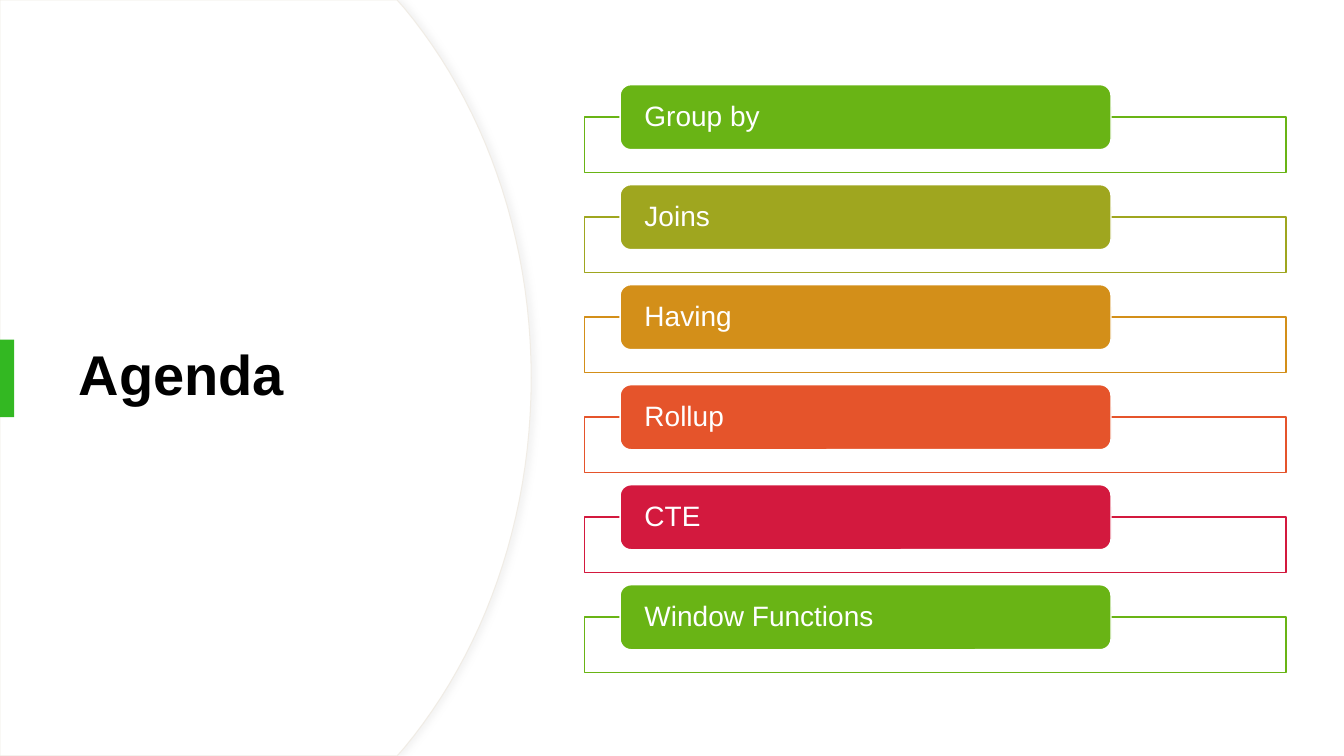
import pptx
import pptx.util
import pptx.dml.color
import pptx.enum.shapes
import pptx.enum.text
import pptx.oxml
import pptx.oxml.ns

RGBColor = pptx.dml.color.RGBColor
MSO_SHAPE = pptx.enum.shapes.MSO_SHAPE
Pt = pptx.util.Pt

WHITE = RGBColor(0xFF, 0xFF, 0xFF)
BLACK = RGBColor(0x00, 0x00, 0x00)
EDGE = RGBColor(0xF0, 0xEC, 0xE5)
ACCENT = RGBColor(0x33, 0xB8, 0x22)
GREEN = RGBColor(0x69, 0xB4, 0x15)
OLIVE = RGBColor(0x9F, 0xA6, 0x1F)
AMBER = RGBColor(0xD3, 0x8F, 0x19)
ORANGE = RGBColor(0xE5, 0x54, 0x2B)
RED = RGBColor(0xD3, 0x19, 0x3E)

AGENDA = [
    ("Group by", GREEN),
    ("Joins", OLIVE),
    ("Having", AMBER),
    ("Rollup", ORANGE),
    ("CTE", RED),
    ("Window Functions", GREEN),
]
FIRST_ROW, ROW_STEP = 11.2, 13.23
ARC = [(30.08, 1.07), (35.93, 13.6), (39.53, 30.93), (39.53, 50)]
ARC_STEPS = 24

SHADOW = (
    '<a:effectLst xmlns:a="http://schemas.openxmlformats.org/drawingml/2006/main">'
    '<a:outerShdw blurRad="50800" dist="38100" dir="0" algn="l" rotWithShape="0">'
    '<a:srgbClr val="D9D9D9"><a:alpha val="30000"/></a:srgbClr>'
    '</a:outerShdw></a:effectLst>'
)


def bezier(points, t):
    weights = ((1 - t) ** 3, 3 * t * (1 - t) ** 2, 3 * t ** 2 * (1 - t), t ** 3)
    return tuple(sum(w * p[axis] for w, p in zip(weights, points)) for axis in (0, 1))


class Deck:
    font = "Arial"

    def __init__(self, prs):
        self.prs = prs
        self.slide = prs.slides.add_slide(prs.slide_layouts[5])

    def x(self, share):
        return round(self.prs.slide_width * share / 100)

    def y(self, share):
        return round(self.prs.slide_height * share / 100)

    def box(self, left, top, width, height):
        return self.x(left), self.y(top), self.x(width), self.y(height)

    def paint(self, sp, fill, line=None, weight=1):
        sp.shadow.inherit = False
        sp.fill.solid()
        sp.fill.fore_color.rgb = fill
        if line is None:
            sp.line.fill.background()
        else:
            sp.line.color.rgb = line
            sp.line.width = Pt(weight)

    def label(self, sp, text, size, color, bold=False):
        tf = sp.text_frame
        tf.text = text
        tf.word_wrap = True
        tf.auto_size = pptx.enum.text.MSO_AUTO_SIZE.NONE
        tf.vertical_anchor = pptx.enum.text.MSO_ANCHOR.MIDDLE
        p = tf.paragraphs[0]
        p.alignment = pptx.enum.text.PP_ALIGN.LEFT
        p.line_spacing = 0.9
        r = p.runs[0]
        r.font.name = self.font
        r.font.size = Pt(size)
        r.font.bold = bold
        r.font.color.rgb = color
        return tf

    def title(self, text, *box):
        sp = self.slide.shapes.title
        sp.left, sp.top, sp.width, sp.height = self.box(*box)
        self.label(sp, text, 40, BLACK, bold=True)

    def shape(self, kind, box, fill, line=None):
        sp = self.slide.shapes.add_shape(kind, *self.box(*box))
        self.paint(sp, fill, line)
        return sp

    def curved_panel(self):
        upper = [bezier(ARC, i / ARC_STEPS) for i in range(ARC_STEPS + 1)]
        upper.insert(0, (29.55, 0))
        lower = [(x, 100 - y) for x, y in reversed(upper[:-1])]
        outline = [(self.x(x), self.y(y)) for x, y in upper + lower + [(0, 100)]]
        builder = self.slide.shapes.build_freeform(0, 0)
        builder.add_line_segments(outline, close=True)
        sp = builder.convert_to_shape()
        self.paint(sp, WHITE, EDGE, 0.75)
        props = sp._element.spPr
        props.replace(props.find(pptx.oxml.ns.qn("a:effectLst")), pptx.oxml.parse_xml(SHADOW))
        tree = self.slide.shapes._spTree
        tree.remove(sp._element)
        tree.insert(2, sp._element)

    def agenda_item(self, top, text, color):
        self.shape(MSO_SHAPE.RECTANGLE, (43.5, top + 4.27, 52.2, 7.35), WHITE, color)
        sp = self.shape(MSO_SHAPE.ROUNDED_RECTANGLE, (46.14, top, 36.53, 8.6), color, WHITE)
        tf = self.label(sp, text, 20, WHITE)
        tf.margin_left = tf.margin_right = self.x(1.58)
        tf.margin_top = tf.margin_bottom = 0


prs = pptx.Presentation()
prs.slide_width = pptx.util.Inches(13.33)
prs.slide_height = pptx.util.Inches(7.5)

deck = Deck(prs)
deck.curved_panel()
deck.title("Agenda", 5.1, 16.93, 29.55, 66)
deck.shape(MSO_SHAPE.RECTANGLE, (0, 44.93, 1.05, 10.27), ACCENT)
for row, (text, color) in enumerate(AGENDA):
    deck.agenda_item(FIRST_ROW + row * ROW_STEP, text, color)

prs.save("out.pptx")
